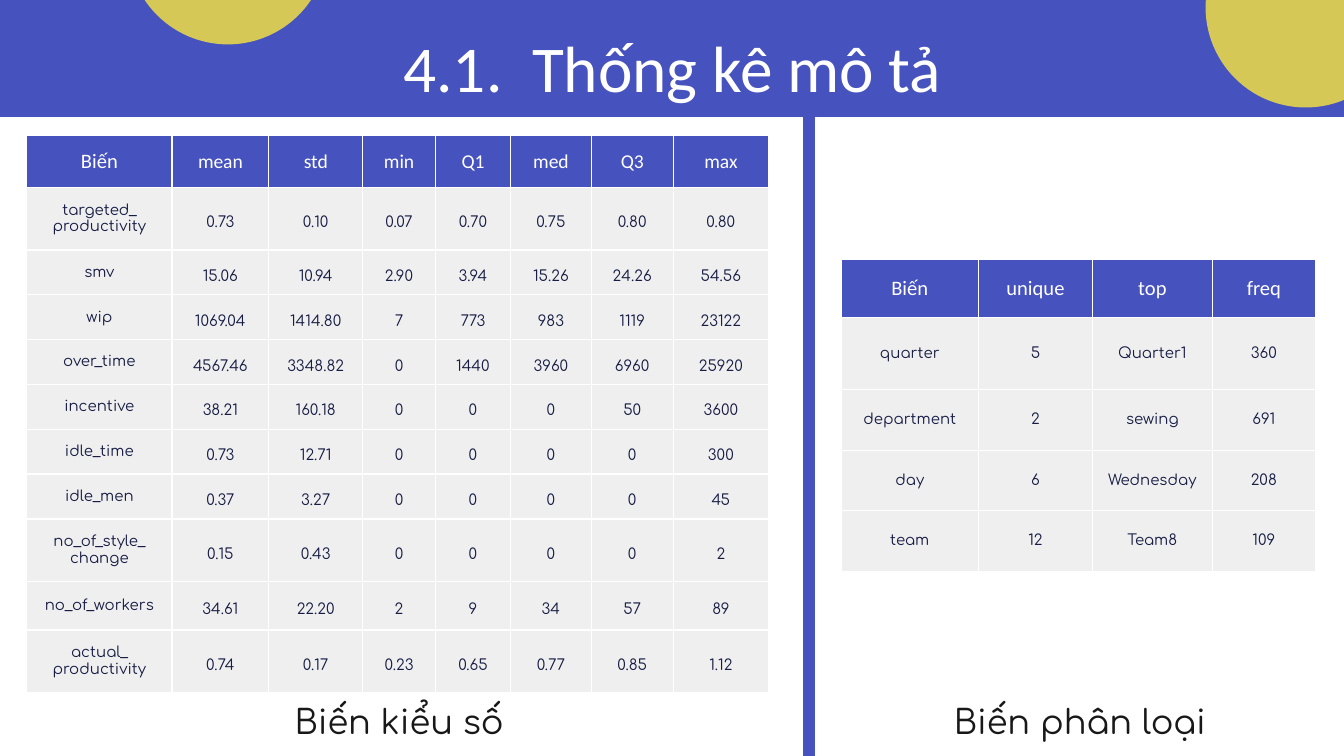
from dataclasses import dataclass

from lxml.etree import SubElement
from pptx import Presentation
from pptx.dml.color import RGBColor
from pptx.enum.shapes import MSO_CONNECTOR as Connector, MSO_SHAPE as Shape
from pptx.enum.text import MSO_ANCHOR as Anchor, PP_ALIGN as Align
from pptx.oxml.ns import qn
from pptx.util import Inches, Pt

WIDTH = 10
HEIGHT = WIDTH * 9 / 16
BAND_HEIGHT = 0.87
DIVIDER_X = 6.02
COLORS = {
    "blue": "4652BE",
    "yellow": "D5C857",
    "grey": "EFEFEF",
    "navy": "171D44",
    "black": "181818",
    "white": "FFFFFF",
}


@dataclass(frozen=True)
class TextStyle:
    size: float
    font: str
    color: str
    before: float = 0
    after: float = 0
    line: float = 1.0


@dataclass(frozen=True)
class CellStyle:
    text: TextStyle
    fill: str
    margin_x: float
    margin_y: float


@dataclass(frozen=True)
class TableLayout:
    """Frame, grid and the styles of header and body, first column apart."""
    left: float
    top: float
    height: float
    columns: tuple[float, ...]
    rows: tuple[float, ...]
    first_header: CellStyle
    header: CellStyle
    label: CellStyle
    value: CellStyle

    def style(self, row: int, column: int) -> CellStyle:
        if row == 0:
            return self.header if column else self.first_header
        return self.value if column else self.label


TITLE = TextStyle(35, "Calibri", "white")
CAPTION = TextStyle(18, "Comfortaa", "black", after=16)


def header_style(size: float, margin: float, after: float = 16) -> CellStyle:
    return CellStyle(TextStyle(size, "Calibri", "white", after=after), "blue", margin, margin)


def body_style(margin_x: float, margin_y: float, gap: float = 3, line: float = 1.0) -> CellStyle:
    text = TextStyle(8, "Comfortaa", "navy", gap, gap, line)
    return CellStyle(text, "grey", margin_x, margin_y)


NUMERIC = TableLayout(
    0.2, 1.01, 4.14,
    (1.08, 0.72, 0.7, 0.54, 0.56, 0.6, 0.61, 0.71),
    (0.37, 0.45, *[0.32] * 6, 0.45, 0.36, 0.45),
    header_style(11, 0.1, after=0), header_style(10.5, 0.1),
    body_style(0.1, 0.1, gap=0), body_style(0.07, 0, line=1.5),
)
CATEGORICAL = TableLayout(
    6.26, 1.93, 2.31,
    (1.02, 0.85, 0.89, 0.77),
    (0.43, 0.54, *[0.45] * 3),
    header_style(11, 0.06, after=0), header_style(11, 0.06),
    body_style(0.05, 0), body_style(0.05, 0),
)

NUMERIC_ROWS = [
    ["Biến", "mean", "std", "min", "Q1", "med", "Q3", "max"],
    ["targeted_\nproductivity", "0.73", "0.10", "0.07", "0.70", "0.75", "0.80", "0.80"],
    ["smv", "15.06", "10.94", "2.90", "3.94", "15.26", "24.26", "54.56"],
    ["wip", "1069.04", "1414.80", "7", "773", "983", "1119", "23122"],
    ["over_time", "4567.46", "3348.82", "0", "1440", "3960", "6960", "25920"],
    ["incentive", "38.21", "160.18", "0", "0", "0", "50", "3600"],
    ["idle_time", "0.73", "12.71", "0", "0", "0", "0", "300"],
    ["idle_men", "0.37", "3.27", "0", "0", "0", "0", "45"],
    ["no_of_style_\nchange", "0.15", "0.43", "0", "0", "0", "0", "2"],
    ["no_of_workers", "34.61", "22.20", "2", "9", "34", "57", "89"],
    ["actual_\nproductivity", "0.74", "0.17", "0.23", "0.65", "0.77", "0.85", "1.12"],
]
CATEGORICAL_ROWS = [
    ["Biến", "unique", "top", "freq"],
    ["quarter", "5", "Quarter1", "360"],
    ["department", "2", "sewing", "691"],
    ["day", "6", "Wednesday", "208"],
    ["team", "12", "Team8", "109"],
]


def rgb(name: str) -> RGBColor:
    return RGBColor.from_string(COLORS[name])


def write(frame, text: str, style: TextStyle) -> None:
    """Write centred text, one paragraph for each line."""
    for index, words in enumerate(text.split("\n")):
        paragraph = frame.add_paragraph() if index else frame.paragraphs[0]
        paragraph.alignment = Align.CENTER
        paragraph.space_before = Pt(style.before)
        paragraph.space_after = Pt(style.after)
        paragraph.line_spacing = style.line
        run = paragraph.add_run()
        run.text = words
        run.font.size = Pt(style.size)
        run.font.name = style.font
        run.font.color.rgb = rgb(style.color)


def add_text(slide, left: float, top: float, width: float, height: float,
             text: str, style: TextStyle, margin_y: float = 0.05) -> None:
    box = slide.shapes.add_textbox(*map(Inches, (left, top, width, height)))
    frame = box.text_frame
    frame.word_wrap = True
    frame.margin_top = frame.margin_bottom = Inches(margin_y)
    write(frame, text, style)


def add_filled(slide, kind: Shape, left: float, top: float,
               width: float, height: float, color: str) -> None:
    shape = slide.shapes.add_shape(kind, *map(Inches, (left, top, width, height)))
    shape.shadow.inherit = False
    shape.fill.solid()
    shape.fill.fore_color.rgb = rgb(color)
    shape.line.fill.background()


def add_borders(cell) -> None:
    properties = cell._tc.get_or_add_tcPr()
    for index, side in enumerate(("a:lnL", "a:lnR", "a:lnT", "a:lnB")):
        line = properties.makeelement(qn(side), {"w": str(Pt(0.75))})
        properties.insert(index, line)
        fill = SubElement(line, qn("a:solidFill"))
        SubElement(fill, qn("a:srgbClr"), val=COLORS["white"])


def add_table(slide, layout: TableLayout, rows: list[list[str]]) -> None:
    graphic_frame = slide.shapes.add_table(
        len(layout.rows), len(layout.columns), Inches(layout.left), Inches(layout.top),
        Inches(sum(layout.columns)), Inches(layout.height))
    table = graphic_frame.table
    for column, width in zip(table.columns, layout.columns):
        column.width = Inches(width)
    for row, height in zip(table.rows, layout.rows):
        row.height = Inches(height)
    graphic_frame.height = Inches(layout.height)
    for row_index, texts in enumerate(rows):
        for column_index, text in enumerate(texts):
            style = layout.style(row_index, column_index)
            cell = table.cell(row_index, column_index)
            cell.vertical_anchor = Anchor.MIDDLE
            cell.margin_left = cell.margin_right = Inches(style.margin_x)
            cell.margin_top = cell.margin_bottom = Inches(style.margin_y)
            cell.fill.solid()
            cell.fill.fore_color.rgb = rgb(style.fill)
            add_borders(cell)
            write(cell.text_frame, text, style.text)


def add_divider(slide) -> None:
    x = Inches(DIVIDER_X)
    divider = slide.shapes.add_connector(
        Connector.STRAIGHT, x, Inches(0.85), x, Inches(HEIGHT))
    divider.line.color.rgb = rgb("blue")
    divider.line.width = Pt(6)
    SubElement(divider._element.spPr, qn("a:effectLst"))


def main() -> None:
    presentation = Presentation()
    presentation.slide_width, presentation.slide_height = Inches(WIDTH), Inches(HEIGHT)
    slide = presentation.slides.add_slide(presentation.slide_layouts[6])
    add_filled(slide, Shape.RECTANGLE, 0, 0, WIDTH, BAND_HEIGHT, "blue")
    for left, top in ((8.97, -0.69), (0.95, -1.16)):
        add_filled(slide, Shape.OVAL, left, top, 1.49, 1.49, "yellow")
    add_text(slide, 0.79, 0.1, 8.43, 0.63, "4.1.  Thống kê mô tả", TITLE, margin_y=0.1)
    add_table(slide, NUMERIC, NUMERIC_ROWS)
    add_table(slide, CATEGORICAL, CATEGORICAL_ROWS)
    add_text(slide, 1.89, 5.17, 2.16, 0.4, "Biến kiểu số", CAPTION)
    add_text(slide, 6.61, 5.17, 2.85, 0.4, "Biến phân loại", CAPTION)
    add_divider(slide)
    presentation.save("out.pptx")


if __name__ == "__main__":
    main()
